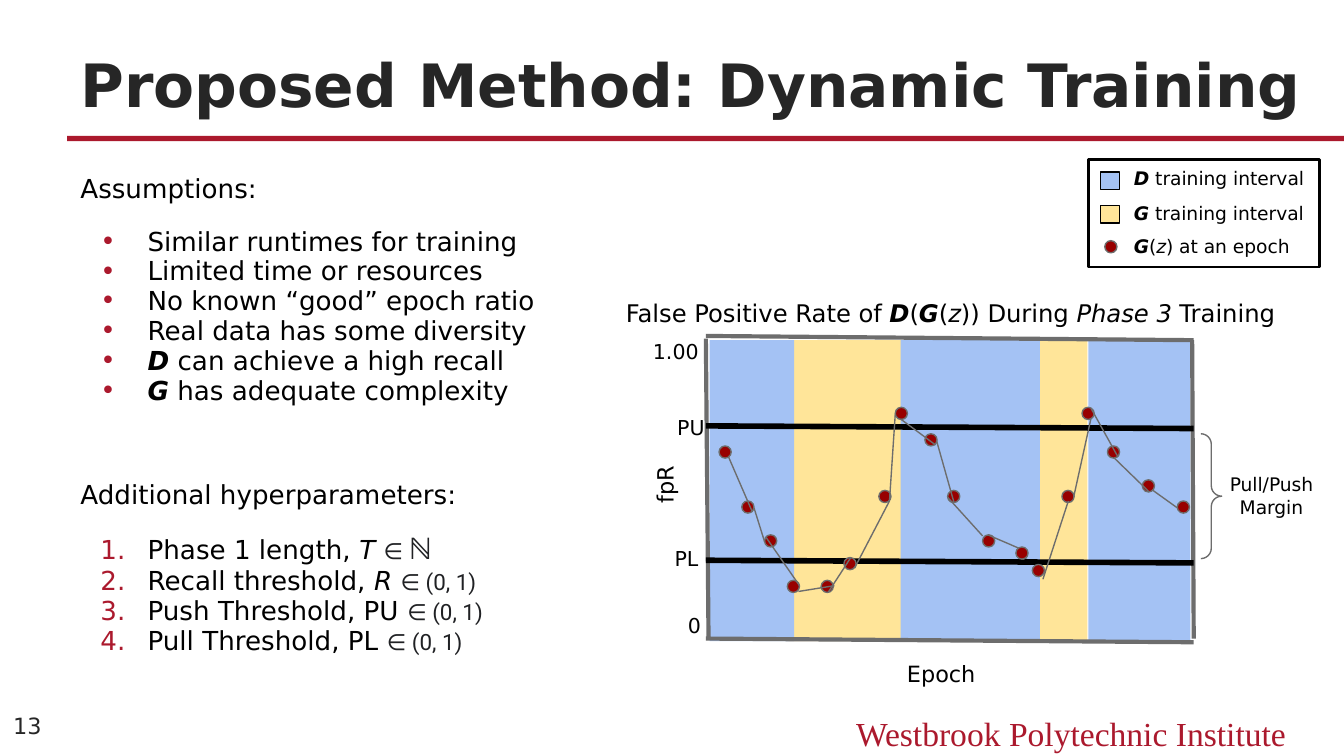
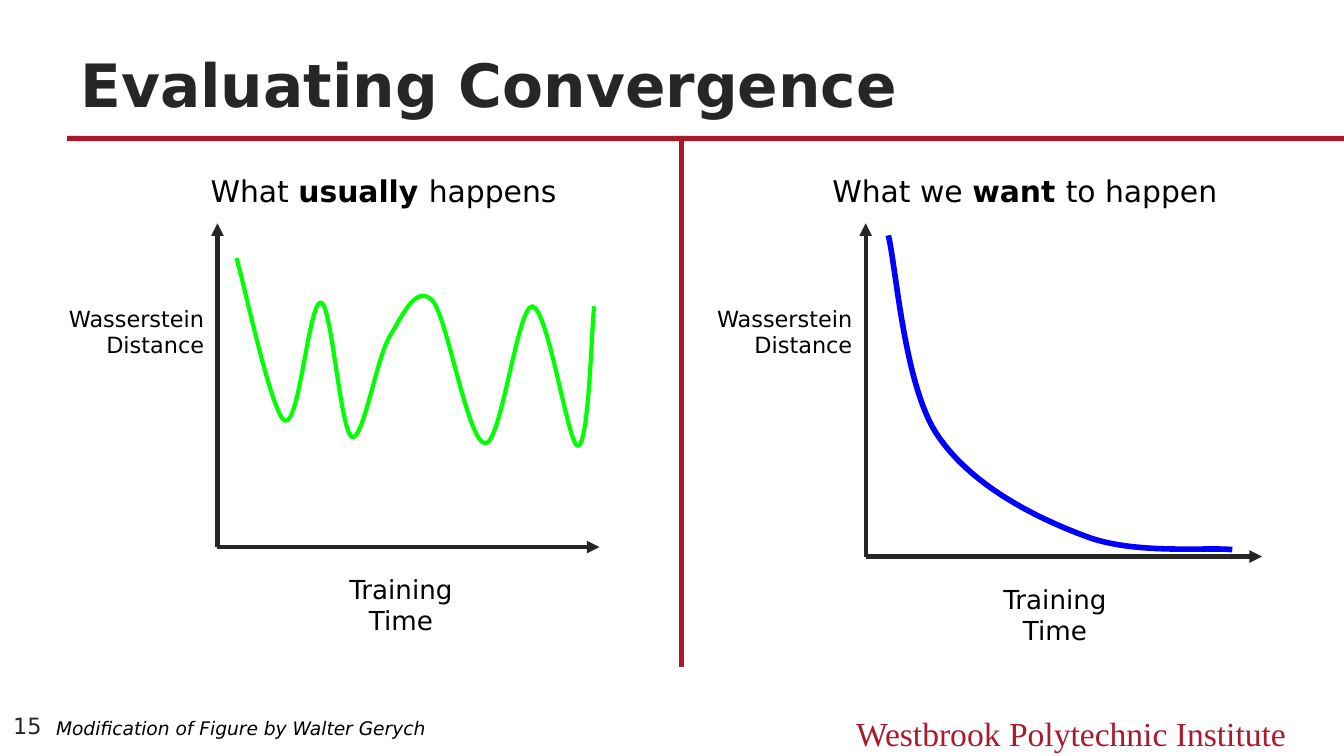
"""Build two slides on dynamic training and on evaluating convergence."""

import dataclasses
import typing

import lxml.etree
import pptx
import pptx.dml.color
import pptx.enum.shapes
import pptx.enum.text
import pptx.oxml.ns
import pptx.presentation
import pptx.shapes.autoshape
import pptx.slide
import pptx.text.text
import pptx.util

Cm = pptx.util.Cm
Pt = pptx.util.Pt
ALIGN = pptx.enum.text.PP_ALIGN
ANCHOR = pptx.enum.text.MSO_ANCHOR
PRESET = pptx.enum.shapes.MSO_SHAPE
qn = pptx.oxml.ns.qn
Point = tuple[float, float]


@dataclasses.dataclass(frozen=True)
class Theme:
    """Hold the colours, fonts and type sizes of the deck."""

    crimson: str = "AB192D"
    ink: str = "262626"
    black: str = "000000"
    grey: str = "6D6D6D"
    math_ink: str = "202124"
    discriminator: str = "A4C2F4"
    generator: str = "FFE599"
    epoch: str = "980000"
    unstable: str = "00FF00"
    stable: str = "0000FF"
    font: str = "DejaVu Sans"
    math_font: str = "Roboto"
    footer_font: str = "Times New Roman"
    title: float = 32
    footer: float = 18
    heading: float = 16
    body: float = 14
    plot_title: float = 13
    label: float = 12
    tick: float = 11
    small: float = 10


THEME = Theme()


class Box(typing.NamedTuple):
    """Place a rectangle, in centimetres."""

    left: float
    top: float
    width: float
    height: float


class Style(typing.NamedTuple):
    """Describe the look of a run."""

    size: float = THEME.body
    color: str = THEME.black
    font: str = THEME.font
    bold: bool = False
    italic: bool = False


class Piece(typing.NamedTuple):
    """Give a stretch of text its own changes to the style around it."""

    text: str
    changes: dict[str, typing.Any] = {}


class Item(typing.NamedTuple):
    """Describe one paragraph of the body."""

    pieces: list[Piece]
    bullet: str = ""
    before: float = 0


class Label(typing.NamedTuple):
    """Describe a label of the training plot."""

    text: str
    box: Box
    size: float
    align: ALIGN = ALIGN.LEFT
    rotation: float = 0


class Rule(typing.NamedTuple):
    """Describe a straight line."""

    start: Point
    end: Point
    color: str
    width: float
    arrow: bool = False


@dataclasses.dataclass(frozen=True)
class Sketch:
    """Describe a convergence sketch; its curve lists cubic control points."""

    heading: list[Piece]
    heading_left: float
    heading_width: float
    origin: Point
    axis_right: float
    distance_width: float
    time_left: float
    time_width: float
    curve: list[Point]
    color: str
    width: float


def strong(text: str) -> Piece:
    """Return a bold italic piece."""
    return Piece(text, {"bold": True, "italic": True})


def slanted(text: str) -> Piece:
    """Return an italic piece."""
    return Piece(text, {"italic": True})


def formula(text: str, **changes: typing.Any) -> Piece:
    """Return a piece in the formula font."""
    base = {"size": THEME.label, "font": THEME.math_font, "color": THEME.math_ink}
    return Piece(text, base | changes)


def rgb(color: str) -> pptx.dml.color.RGBColor:
    """Turn a hex string into a colour."""
    return pptx.dml.color.RGBColor.from_string(color)


def write(paragraph: pptx.text.text._Paragraph, pieces: list[Piece], style: Style) -> None:
    """Fill a paragraph with pieces, then format its runs."""
    paragraph.text = pieces[0].text
    for piece in pieces[1:]:
        paragraph.add_run().text = piece.text
    for run, piece in zip(paragraph.runs, pieces):
        look = style._replace(**piece.changes)
        run.font.size, run.font.name = Pt(look.size), look.font
        run.font.bold, run.font.italic = look.bold, look.italic
        run.font.color.rgb = rgb(look.color)


def add_frame(slide: pptx.slide.Slide, box: Box, inset: float = 0.25, rotation: float = 0,
              anchor: ANCHOR = ANCHOR.TOP) -> pptx.text.text.TextFrame:
    """Add a wrapping text box and return its frame."""
    holder = slide.shapes.add_textbox(*map(Cm, box))
    holder.rotation = rotation
    frame = holder.text_frame
    frame.word_wrap, frame.vertical_anchor = True, anchor
    frame.margin_left = frame.margin_right = Cm(0.25)
    frame.margin_top = frame.margin_bottom = Cm(inset)
    return frame


def add_text(slide: pptx.slide.Slide, box: Box, pieces: list[Piece], style: Style,
             align: ALIGN = ALIGN.LEFT, **frame_options: typing.Any) -> None:
    """Add a text box with one paragraph."""
    paragraph = add_frame(slide, box, **frame_options).paragraphs[0]
    write(paragraph, pieces, style)
    paragraph.alignment = align


def outline(shape: pptx.shapes.autoshape.Shape, fill: str, line: str, width: float) -> None:
    """Set fill and line of a shape; an empty colour means none."""
    shape.shadow.inherit = False
    if fill:
        shape.fill.solid()
        shape.fill.fore_color.rgb = rgb(fill)
    else:
        shape.fill.background()
    if line:
        shape.line.color.rgb = rgb(line)
        shape.line.width = Pt(width)
    else:
        shape.line.fill.background()


def add_preset(slide: pptx.slide.Slide, kind: PRESET, box: Box, fill: str = "",
               line: str = "", width: float = 0.75) -> None:
    """Add a preset shape."""
    outline(slide.shapes.add_shape(kind, *map(Cm, box)), fill, line, width)


def add_rule(slide: pptx.slide.Slide, rule: Rule) -> None:
    """Add a straight line, with an arrowhead if asked for."""
    connector = slide.shapes.add_connector(
        pptx.enum.shapes.MSO_CONNECTOR.STRAIGHT, *map(Cm, rule.start + rule.end))
    connector.line.color.rgb = rgb(rule.color)
    connector.line.width = Pt(rule.width)
    properties = connector.element.spPr
    if rule.arrow:
        lxml.etree.SubElement(properties.find(qn("a:ln")), qn("a:tailEnd"), type="triangle")
    lxml.etree.SubElement(properties, qn("a:effectLst"))


def add_curve(slide: pptx.slide.Slide, points: list[Point], color: str, width: float) -> None:
    """Add an open freeform whose points after the first are cubic control points."""
    builder = slide.shapes.build_freeform(*map(Cm, points[0]))
    builder.add_line_segments([(Cm(x), Cm(y)) for x, y in points[1:]], close=False)
    curve = builder.convert_to_shape()
    outline(curve, "", color, width)
    segments = list(curve.element.iter(qn("a:lnTo")))
    for first, second, end in zip(*[iter(segments)] * 3):
        first.tag = qn("a:cubicBezTo")
        for segment in (second, end):
            first.append(segment[0])
            segment.getparent().remove(segment)


def add_dot(slide: pptx.slide.Slide, corner: Point) -> None:
    """Add the marker of one epoch."""
    add_preset(slide, PRESET.OVAL, Box(*corner, 0.23, 0.23), THEME.epoch, THEME.grey)


def add_bullet(paragraph: pptx.text.text._Paragraph, bullet: str) -> None:
    """Give a paragraph a hanging bullet, or a number for the bullet 1."""
    properties = paragraph._p.get_or_add_pPr()
    properties.set("marL", str(Cm(1.27)))
    properties.set("indent", str(Cm(-0.89)))
    color = lxml.etree.SubElement(properties, qn("a:buClr"))
    lxml.etree.SubElement(color, qn("a:srgbClr"), val=THEME.crimson)
    lxml.etree.SubElement(properties, qn("a:buFont"), typeface=THEME.font)
    if bullet == "1":
        lxml.etree.SubElement(properties, qn("a:buAutoNum"), type="arabicPeriod")
    else:
        lxml.etree.SubElement(properties, qn("a:buChar"), char=bullet)


def add_page(deck: pptx.presentation.Presentation, title: str, title_width: float,
             number: str) -> pptx.slide.Slide:
    """Add a slide with the shared band, footer, title and number."""
    slide = deck.slides.add_slide(deck.slide_layouts[6])
    add_preset(slide, PRESET.RECTANGLE, Box(1.27, 2.57, 24.13, 0.1), THEME.crimson)
    add_text(slide, Box(15.24, 13.34, 9.32, 0.76), [Piece("Westbrook Polytechnic Institute")],
             Style(THEME.footer, THEME.crimson, THEME.footer_font), ALIGN.RIGHT, inset=0.13)
    add_text(slide, Box(1.27, 0.71, title_width, 1.68), [Piece(title)],
             Style(THEME.title, THEME.ink, bold=True), inset=0.13, anchor=ANCHOR.BOTTOM)
    add_text(slide, Box(0, 13.31, 1.27, 0.81), [Piece(number)],
             Style(THEME.label, THEME.ink), inset=0.13, anchor=ANCHOR.MIDDLE)
    return slide


UNIT = formula("∈ (0, 1)")
BODY = [
    Item([Piece("Assumptions:")], before=12),
    Item([Piece("Similar runtimes for training")], "•", 12),
    Item([Piece("Limited time or resources")], "•"),
    Item([Piece("No known “good” epoch ratio")], "•"),
    Item([Piece("Real data has some diversity")], "•"),
    Item([strong("D"), Piece(" can achieve a high recall")], "•"),
    Item([strong("G"), Piece(" has adequate complexity")], "•"),
    Item([Piece("Additional hyperparameters:")], before=40),
    Item([Piece("Phase 1 length, "), slanted("T "), formula("∈ "),
          formula("ℕ", size=THEME.heading, bold=True)], "1", 12),
    Item([Piece("Recall threshold,"), slanted(" R "), UNIT], "1"),
    Item([Piece("Push Threshold, PU "), UNIT], "1"),
    Item([Piece("Pull Threshold, PL "), UNIT], "1"),
]
INTERVALS = [(14.91, 2.13, THEME.generator), (13.41, 1.6, THEME.discriminator),
             (17.02, 2.82, THEME.discriminator), (19.66, 0.89, THEME.generator),
             (20.57, 1.93, THEME.discriminator)]
EPOCHS = [(13.59, 8.43), (14.02, 9.47), (14.45, 10.11), (14.88, 10.97), (15.52, 10.97),
          (15.95, 10.54), (16.61, 9.27), (16.92, 7.7), (17.48, 8.2), (17.91, 9.27),
          (18.57, 10.11), (19.2, 10.34), (19.51, 10.67), (20.07, 9.27), (20.45, 7.7),
          (20.93, 8.43), (21.59, 9.07), (22.25, 9.47)]
STEPS = [((13.77, 8.64), (14.22, 9.68)), ((14.25, 9.6), (14.45, 10.24)),
         ((14.48, 10.16), (15.11, 11.07)), ((15.09, 11.18), (15.77, 11.07)),
         ((16.08, 10.54), (15.65, 11.2)), ((16.81, 9.47), (16.15, 10.74)),
         ((16.92, 7.82), (16.81, 9.47)), ((17.02, 7.92), (17.68, 8.41)),
         ((17.7, 8.33), (18.03, 9.5)), ((17.91, 9.4), (18.57, 10.13)),
         ((18.67, 10.11), (19.25, 10.36)), ((19.33, 10.57), (19.41, 10.54)),
         ((20.19, 9.47), (19.71, 10.95)), ((20.62, 7.9), (20.29, 9.4)),
         ((20.62, 7.72), (21.13, 8.64)), ((21.06, 8.66), (21.72, 9.3)),
         ((21.79, 9.27), (22.25, 9.6))]
PLOT_RULES = [Rule((13.34, 6.4), (13.39, 12.04), THEME.grey, 2.25),
              Rule((22.53, 6.43), (22.56, 12.07), THEME.grey, 2.25),
              Rule((22.56, 8.1), (13.34, 8.05), THEME.black, 3),
              Rule((22.56, 10.64), (13.34, 10.59), THEME.black, 3),
              Rule((22.56, 12.14), (13.34, 12.07), THEME.grey, 2.25),
              Rule((22.56, 6.43), (13.34, 6.35), THEME.grey, 2.25)]
PLOT_LABELS = [
    Label("fpR", Box(11.68, 8.36, 1.78, 1.02), THEME.label, rotation=270),
    Label("Epoch", Box(16.38, 12.22, 2.82, 1.02), THEME.label, ALIGN.CENTER),
    Label("0", Box(12.75, 11.35, 0.89, 0.99), THEME.tick),
    Label("1.00", Box(12.09, 6.17, 1.6, 0.99), THEME.tick),
    Label("PU", Box(12.55, 7.62, 1.12, 0.99), THEME.tick),
    Label("PL", Box(12.5, 10.08, 1.12, 0.99), THEME.tick),
    Label("Pull/Push Margin", Box(22.86, 8.69, 2.34, 1.37), THEME.small, ALIGN.CENTER),
]
LEGEND = [(2.95, [strong("D"), Piece(" training interval")]),
          (3.61, [strong("G"), Piece(" training interval")]),
          (4.22, [strong("G"), Piece("("), slanted("z"), Piece(") at an epoch")])]
PLOT_TITLE = [Piece("False Positive Rate of "), strong("D"), Piece("("), strong("G"), Piece("("),
              slanted("z"), Piece(")) During "), slanted("Phase 3"), Piece(" Training")]
SKETCHES = [
    Sketch([Piece("What we "), Piece("want ", {"bold": True}), Piece("to happen")], 13.77, 11.2,
           (16.36, 10.52), 23.85, 3.53, 18.29, 3.3,
           [(16.79, 4.45), (16.94, 5.08), (17.09, 7.26), (17.7, 8.2),
            (18.34, 9.17), (19.56, 9.78), (20.5, 10.13),
            (21.41, 10.49), (22.81, 10.34), (23.29, 10.39)], THEME.stable, 3),
    Sketch([Piece("What "), Piece("usually ", {"bold": True}), Piece("happens")], 3.15, 8.2,
           (4.11, 10.34), 11.33, 3.18, 5.99, 3.18,
           [(4.47, 4.88), (4.62, 5.38), (5.13, 7.82), (5.38, 7.95),
            (5.66, 8.08), (5.84, 5.66), (6.07, 5.72), (6.27, 5.77), (6.43, 8.13), (6.65, 8.26),
            (6.86, 8.36), (7.11, 6.78), (7.37, 6.35), (7.62, 5.94), (7.87, 5.36), (8.18, 5.69),
            (8.46, 6.02), (8.84, 8.36), (9.17, 8.38), (9.47, 8.41), (9.78, 5.79), (10.06, 5.79),
            (10.36, 5.82), (10.74, 8.43), (10.92, 8.43),
            (11.13, 8.43), (11.18, 6.22), (11.23, 5.79)], THEME.unstable, 2.25),
]


def draw_training(slide: pptx.slide.Slide) -> None:
    """Draw the assumptions, the training plot and its legend."""
    add_preset(slide, PRESET.RECTANGLE, Box(20.57, 3.02, 4.37, 2.03), line=THEME.black, width=1.5)
    frame = add_frame(slide, Box(1.27, 3.18, 10.11, 8.26), inset=0.13)
    for index, item in enumerate(BODY):
        paragraph = frame.add_paragraph() if index else frame.paragraphs[0]
        write(paragraph, item.pieces, Style())
        paragraph.line_spacing, paragraph.space_before = 0.95, Pt(item.before)
        if item.bullet:
            add_bullet(paragraph, item.bullet)
    add_preset(slide, PRESET.DOUBLE_BRACE, Box(18.26, 8.2, 4.83, 2.36), line=THEME.grey)
    for left, width, color in INTERVALS:
        add_preset(slide, PRESET.RECTANGLE, Box(left, 6.43, width, 5.69), color)
    for label in PLOT_LABELS:
        add_text(slide, label.box, [Piece(label.text)], Style(label.size), label.align,
                 rotation=label.rotation)
    for rule in PLOT_RULES:
        add_rule(slide, rule)
    for corner in EPOCHS:
        add_dot(slide, corner)
    for start, end in STEPS:
        add_rule(slide, Rule(start, end, THEME.grey, 0.75))
    for top, color in ((3.25, THEME.discriminator), (3.89, THEME.generator)):
        add_preset(slide, PRESET.RECTANGLE, Box(20.8, top, 0.36, 0.33), color, THEME.black)
    add_dot(slide, (20.88, 4.55))
    for top, pieces in LEGEND:
        add_text(slide, Box(21.18, top, 3.76, 0.94), pieces, Style(THEME.small))
    add_text(slide, Box(11.58, 5.38, 13.31, 1.07), PLOT_TITLE, Style(THEME.plot_title))


def draw_sketch(slide: pptx.slide.Slide, sketch: Sketch) -> None:
    """Draw one convergence sketch."""
    x, y = sketch.origin
    for tip in ((x, 4.22), (sketch.axis_right, y)):
        add_rule(slide, Rule(sketch.origin, tip, THEME.ink, 2.25, arrow=True))
    add_text(slide, Box(x - sketch.distance_width, 5.51, sketch.distance_width, 1.55),
             [Piece("Wasserstein Distance")], Style(THEME.label), ALIGN.RIGHT)
    add_text(slide, Box(sketch.time_left, y + 0.25, sketch.time_width, 1.7),
             [Piece("Training Time")], Style(THEME.body), ALIGN.CENTER)
    add_curve(slide, sketch.curve, sketch.color, sketch.width)
    add_text(slide, Box(sketch.heading_left, 3.02, sketch.heading_width, 1.19), sketch.heading,
             Style(THEME.heading), ALIGN.CENTER)


def main() -> None:
    """Build and save the deck."""
    deck = pptx.Presentation()
    deck.slide_width, deck.slide_height = Cm(25.4), Cm(14.29)
    draw_training(add_page(deck, "Proposed Method: Dynamic Training", 23.72, "13"))
    convergence = add_page(deck, "Evaluating Convergence", 22.86, "15")
    add_rule(convergence, Rule((12.88, 2.64), (12.88, 12.6), THEME.crimson, 2.25))
    for sketch in SKETCHES:
        draw_sketch(convergence, sketch)
    add_text(convergence, Box(0.81, 13.34, 8.03, 0.94),
             [slanted("Modification of Figure by Walter Gerych")], Style(THEME.small))
    deck.save("out.pptx")


if __name__ == "__main__":
    main()
